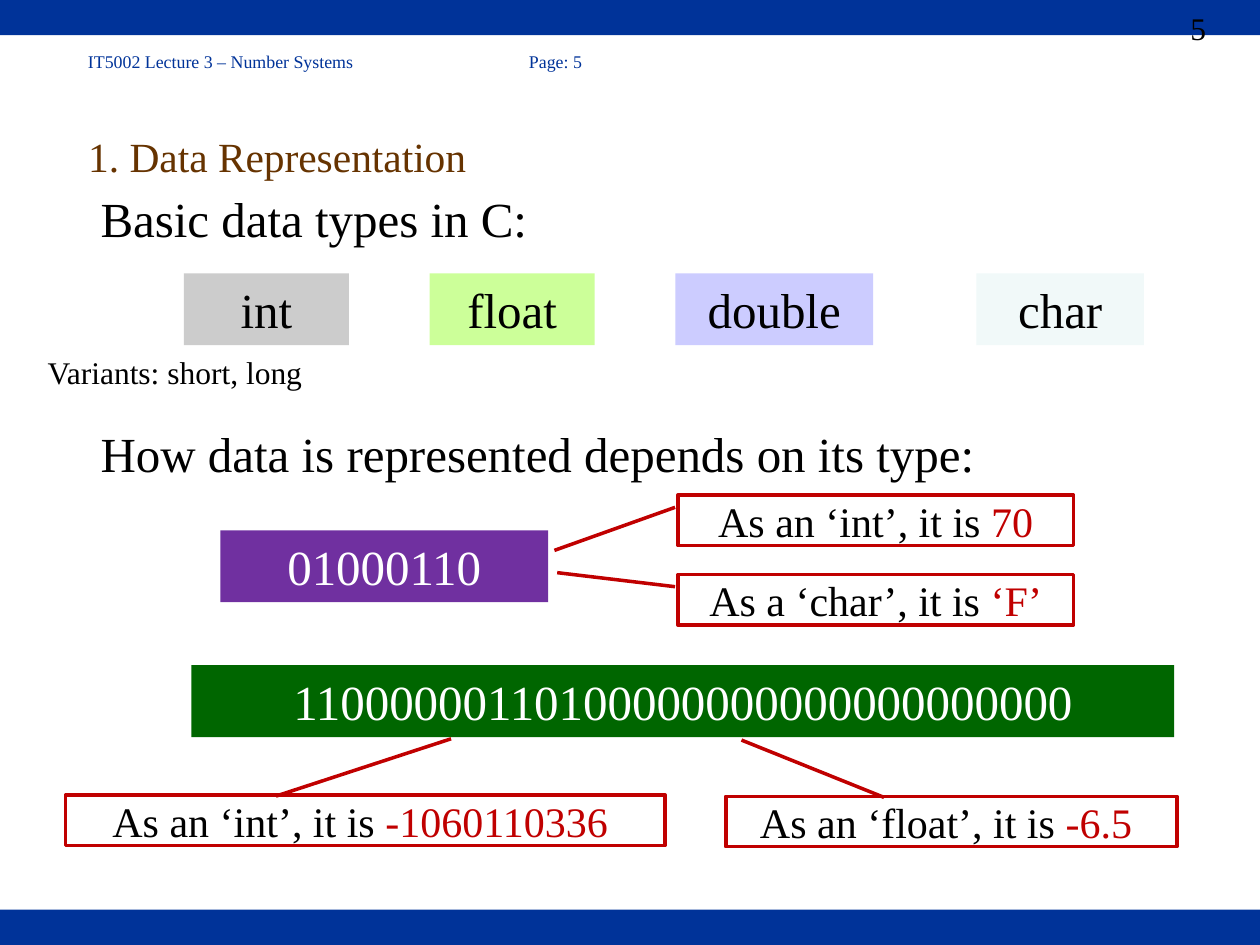
from dataclasses import dataclass

from pptx import Presentation
from pptx.dml.color import RGBColor
from pptx.enum.shapes import MSO_SHAPE as Shape
from pptx.enum.text import MSO_ANCHOR as Anchor, MSO_AUTO_SIZE as AutoSize, PP_ALIGN as Align
from pptx.util import Inches, Pt


@dataclass(frozen=True)
class Theme:
    """Colours, font and type sizes of the slide."""
    font: str = "Times New Roman"
    bar: str = "003399"
    title: str = "663300"
    text: str = "000000"
    light: str = "FFFFFF"
    accent: str = "C00000"
    footer_pt: float = 10.2
    note_pt: float = 18
    title_pt: float = 23.7
    callout_pt: float = 24
    body_pt: float = 28


theme = Theme()


def write(sp, *runs, size=theme.body_pt, color=theme.text, align=Align.LEFT,
          anchor=Anchor.TOP, wrap=True):
    """Fill a shape with one paragraph; a run is text or a (text, colour) pair."""
    tf = sp.text_frame
    tf.word_wrap = wrap
    tf.auto_size = AutoSize.NONE
    tf.vertical_anchor = anchor
    p = tf.paragraphs[0]
    p.alignment = align
    for run in runs:
        text, run_color = (run, color) if isinstance(run, str) else run
        r = p.add_run()
        r.text = text
        r.font.name = theme.font
        r.font.size = Pt(size)
        r.font.color.rgb = RGBColor.from_string(run_color)


def add_box(kind, x, y, w, h, fill=None, line=None):
    """Add a preset shape with optional fill and outline colours."""
    sp = s.shapes.add_shape(kind, Inches(x), Inches(y), Inches(w), Inches(h))
    sp.shadow.inherit = False
    if fill:
        sp.fill.solid()
        sp.fill.fore_color.rgb = RGBColor.from_string(fill)
    else:
        sp.fill.background()
    if line:
        sp.line.color.rgb = RGBColor.from_string(line)
        sp.line.width = Pt(2)
    else:
        sp.line.fill.background()
    return sp


prs = Presentation()
prs.slide_width, prs.slide_height = Inches(10), Inches(7.5)
s = prs.slides.add_slide(prs.slide_layouts[5])

# Bars at the bottom and top
for y in (7.22, 0):
    add_box(Shape.RECTANGLE, 0, y, 10, 0.28, theme.bar)

# Title
title = s.shapes.title
title.left, title.top, title.width, title.height = map(Inches, (0.6, 0.61, 7.13, 1.25))
write(title, "1. Data Representation", size=theme.title_pt, color=theme.title,
      anchor=Anchor.MIDDLE)

# Plain text lines
labels = [
    ("IT5002 Lecture 3 – Number Systems\t\t\tPage: 5", (0.6, 0.35, 7.13, 0.27),
     dict(size=theme.footer_pt, color=theme.bar)),
    ("5", (8.72, 0.02, 0.95, 0.36), dict(size=theme.note_pt, align=Align.RIGHT)),
    ("Basic data types in C:", (0.7, 1.45, 4.3, 0.57), {}),
    ("Variants: short, long", (0.28, 2.75, 2.49, 0.4), dict(size=theme.note_pt)),
    ("How data is represented depends on its type:", (0.7, 3.31, 8.38, 0.57), {}),
]
for text, place, style in labels:
    write(s.shapes.add_textbox(*map(Inches, place)), text, **style)

# Data types and bit patterns
blocks = [
    ("int", 1.46, 2.17, 1.31, "CCCCCC", theme.text),
    ("float", 3.41, 2.17, 1.31, "CCFF99", theme.text),
    ("double", 5.36, 2.17, 1.57, "CCCCFF", theme.text),
    ("char", 7.75, 2.17, 1.33, "F1F9F9", theme.text),
    ("01000110", 1.75, 4.21, 2.6, "7030A0", theme.light),
    ("11000000110100000000000000000000", 1.52, 5.28, 7.8, "006600", theme.light),
]
for text, x, y, w, fill, color in blocks:
    write(add_box(Shape.RECTANGLE, x, y, w, 0.57, fill), text, color=color, align=Align.CENTER)

# Callouts: the pointer is (start y, start x, end y, end x) relative to the box
callouts = [
    ("As an ‘int’, it is ", "70", 5.38, 3.93, 3.14, None, (0.243, -0.007, 1.097, -0.312)),
    ("As a ‘char’, it is ", "‘F’", 5.38, 4.56, 3.14, None, (0.243, -0.007, -0.037, -0.305)),
    ("As an ‘int’, it is ", "-1060110336 ", 0.52, 6.31, 4.76, theme.light,
     (0.022, 0.351, -1.116, 0.643)),
    ("As an ‘float’, it is ", "-6.5 ", 5.76, 6.32, 3.58, None, (0.022, 0.351, -1.116, 0.035)),
]
for text, value, x, y, w, fill, pointer in callouts:
    sp = add_box(Shape.LINE_CALLOUT_1, x, y, w, 0.4, fill, theme.accent)
    for i, ratio in enumerate(pointer):
        sp.adjustments[i] = ratio
    write(sp, text, (value, theme.accent), size=theme.callout_pt, align=Align.CENTER,
          anchor=Anchor.MIDDLE)

prs.save("out.pptx")
